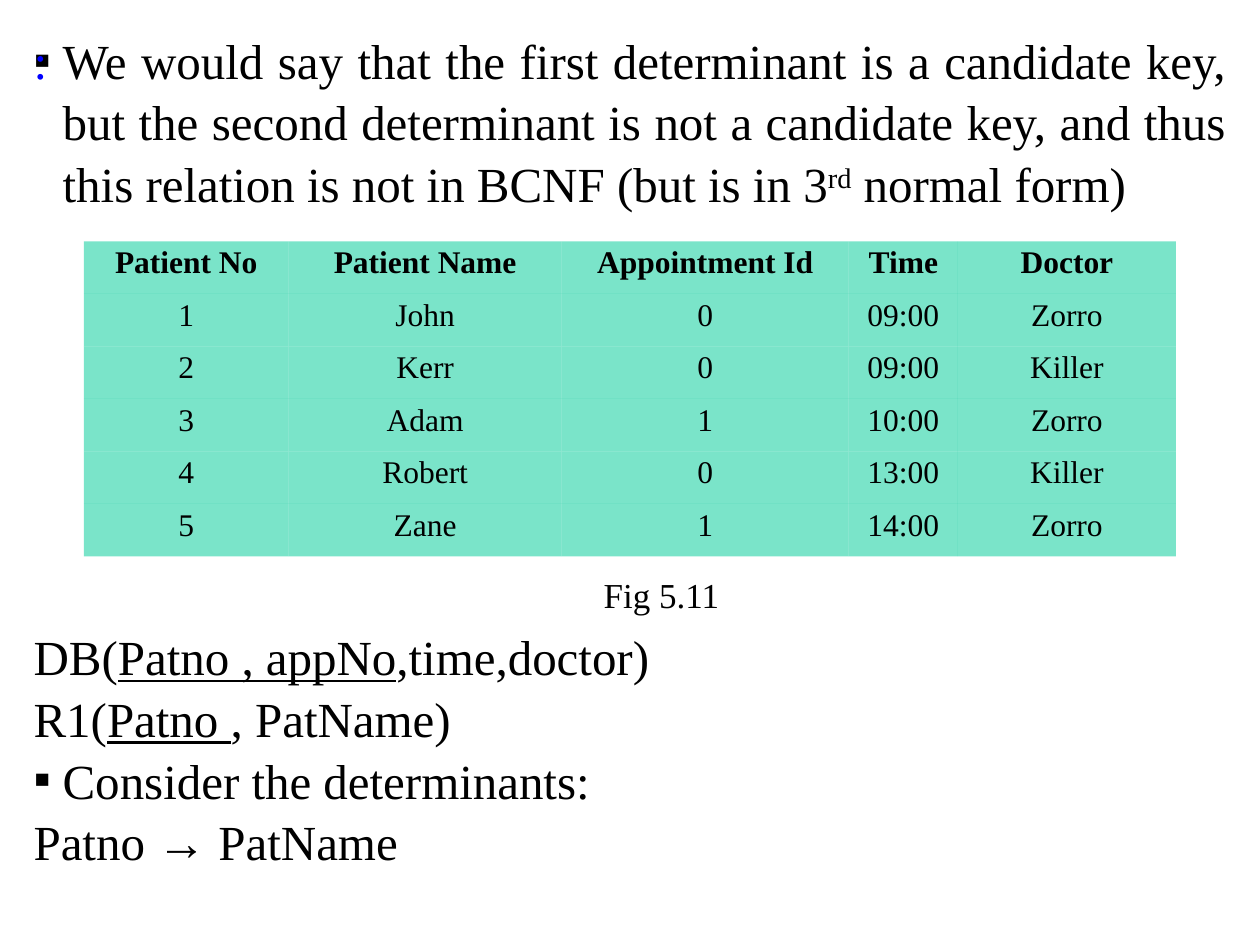
from lxml import etree
from pptx import Presentation
from pptx.dml.color import RGBColor
from pptx.enum.text import MSO_ANCHOR, MSO_AUTO_SIZE, PP_ALIGN
from pptx.oxml.ns import qn
from pptx.util import Pt

COLORS = {"text": "000000", "mark": "0000FF", "cell": "00CC99"}
FONT = "Times New Roman"
CELL_ALPHA = 52
HANG = 16.6

INTRO = [
    {"runs": [("We would say that the first determinant is a candidate key, but the second "
               "determinant is not a candidate key, and thus this relation is not in BCNF "
               "(but is in 3", ""), ("rd", "super"), (" normal form)", "")],
     "bullet": True, "align": PP_ALIGN.JUSTIFY},
]
SCHEMA = [
    {"runs": [(":", "")], "color": "mark"},
    {"runs": [("DB(", ""), ("Patno , appNo", "under"), (",time,doctor)", "")], "before": 305.5},
    {"runs": [("R1(", ""), ("Patno ", "under"), (", PatName)", "")]},
    {"runs": [("Consider the determinants:", "")], "bullet": True},
    {"runs": [("Patno → PatName", "")]},
]
CAPTION = [{"runs": [("Fig 5.11", "")], "align": PP_ALIGN.CENTER, "size": 20, "spacing": 1}]
ROWS = [
    ("Patient No", "Patient Name", "Appointment Id", "Time", "Doctor"),
    ("1", "John", "0", "09:00", "Zorro"),
    ("2", "Kerr", "0", "09:00", "Killer"),
    ("3", "Adam", "1", "10:00", "Zorro"),
    ("4", "Robert", "0", "13:00", "Killer"),
    ("5", "Zane", "1", "14:00", "Zorro"),
]
COL_WIDTHS = (117, 156, 164, 62.5, 124.5)
ROW_HEIGHT = 30
TABLE_POS = (48, 138)
BOXES = {"intro": (12, 12, 696, 142), "schema": (12, 12, 690, 480), "caption": (336, 324, 84, 32)}
NO_STYLE = "{2D5ABB26-0587-4C30-8999-92F81FD0307C}"


def set_attrs(obj, values):
    for name, value in values.items():
        setattr(obj, name, value)


def set_bullet(p, on):
    pPr = p._p.get_or_add_pPr()
    indent = round(Pt(HANG)) if on else 0
    pPr.set("marL", str(indent))
    pPr.set("indent", str(-indent))
    if not on:
        etree.SubElement(pPr, qn("a:buNone"))
        return
    color = etree.SubElement(pPr, qn("a:buClr"))
    etree.SubElement(color, qn("a:srgbClr"), val=COLORS["text"])
    etree.SubElement(pPr, qn("a:buFont"), typeface=FONT)
    etree.SubElement(pPr, qn("a:buChar"), char="▪")


def add_run(p, text, size, color="text", bold=False, style=""):
    r = p.add_run()
    r.text = text
    set_attrs(r.font, {"name": FONT, "size": Pt(size), "bold": bold,
                       "underline": style == "under"})
    r.font.color.rgb = RGBColor.from_string(COLORS[color])
    if style == "super":
        r.font._element.set("baseline", "30000")


def fill_box(sp, box, paragraphs):
    set_attrs(sp, dict(zip(("left", "top", "width", "height"), map(Pt, box))))
    tf = sp.text_frame
    set_attrs(tf, {"word_wrap": True, "auto_size": MSO_AUTO_SIZE.SHAPE_TO_FIT_TEXT,
                   "vertical_anchor": MSO_ANCHOR.TOP})
    for i, item in enumerate(paragraphs):
        p = tf.add_paragraph() if i else tf.paragraphs[0]
        set_attrs(p, {"alignment": item.get("align", PP_ALIGN.LEFT),
                      "line_spacing": item.get("spacing", 1.05),
                      "space_before": Pt(item.get("before", 0)), "space_after": Pt(0)})
        set_bullet(p, item.get("bullet", False))
        for text, style in item["runs"]:
            add_run(p, text, item.get("size", 28), item.get("color", "text"), style=style)


def add_patients(s):
    frame = s.shapes.add_table(len(ROWS), len(COL_WIDTHS), *map(Pt, TABLE_POS),
                               Pt(sum(COL_WIDTHS)), Pt(ROW_HEIGHT * len(ROWS)))
    table = frame.table
    set_attrs(table, {"first_row": False, "horz_banding": False})
    table._tbl.tblPr.find(qn("a:tableStyleId")).text = NO_STYLE
    for col, width in zip(table.columns, COL_WIDTHS):
        col.width = Pt(width)
    for i, values in enumerate(ROWS):
        table.rows[i].height = Pt(ROW_HEIGHT)
        for j, value in enumerate(values):
            cell = table.cell(i, j)
            set_attrs(cell, {"margin_left": Pt(0.7), "margin_right": Pt(0.7)})
            cell.fill.solid()
            cell.fill.fore_color.rgb = RGBColor.from_string(COLORS["cell"])
            color = cell._tc.tcPr.find(".//" + qn("a:srgbClr"))
            etree.SubElement(color, qn("a:alpha"), val=str(CELL_ALPHA * 1000))
            p = cell.text_frame.paragraphs[0]
            set_attrs(p, {"alignment": PP_ALIGN.CENTER, "line_spacing": 0.93,
                          "space_after": Pt(10)})
            add_run(p, value, 18, bold=i == 0)
    return frame


def main():
    """Build the BCNF slide with its patient table and relation schemas."""
    prs = Presentation()
    set_attrs(prs, {"slide_width": Pt(720), "slide_height": Pt(540)})
    s = prs.slides.add_slide(prs.slide_layouts[3])
    title, intro, schema = s.placeholders
    title.element.getparent().remove(title.element)
    fill_box(intro, BOXES["intro"], INTRO)
    fill_box(schema, BOXES["schema"], SCHEMA)
    add_patients(s).element.addnext(schema.element)
    caption = s.shapes.add_textbox(*map(Pt, BOXES["caption"]))
    fill_box(caption, BOXES["caption"], CAPTION)
    prs.save("out.pptx")


if __name__ == "__main__":
    main()
